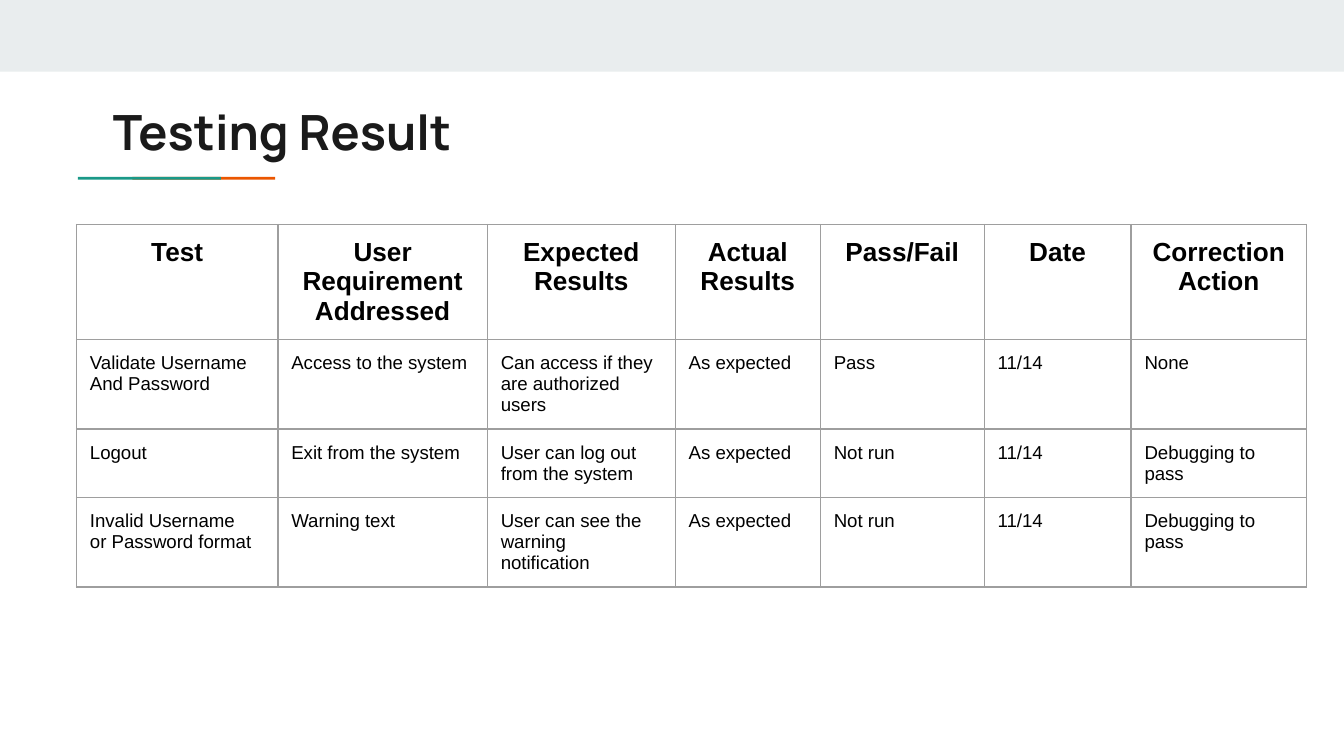
from lxml import etree
from pptx import Presentation
from pptx.dml.color import RGBColor
from pptx.enum.shapes import MSO_SHAPE
from pptx.enum.text import MSO_ANCHOR, MSO_AUTO_SIZE, PP_ALIGN
from pptx.oxml.ns import qn
from pptx.util import Pt

RECTANGLE = MSO_SHAPE.RECTANGLE
TOP = MSO_ANCHOR.TOP
NO_AUTOFIT = MSO_AUTO_SIZE.NONE
LEFT, CENTER = PP_ALIGN.LEFT, PP_ALIGN.CENTER

BAND = RGBColor(0xE9, 0xED, 0xEE)
TEAL = RGBColor(0x1A, 0x99, 0x88)
ORANGE = RGBColor(0xEB, 0x56, 0x00)
INK = RGBColor(0x1A, 0x1A, 0x1A)
BLACK = RGBColor(0, 0, 0)
GRID = RGBColor(0x9E, 0x9E, 0x9E)

TITLE_ONLY = 5
COLUMN_WIDTHS = [107.9, 112.2, 100.7, 77.7, 87.8, 78.7, 94]
ROW_HEIGHTS = [61.5, 48, 36.5, 47.8]
# "\n" starts a new paragraph, "\v" breaks the line within one
RESULTS = [
    ["Test", "User Requirement\nAddressed", "Expected Results",
     "Actual\nResults", "Pass/Fail", "Date", "Correction Action"],
    ["Validate Username\vAnd Password", "Access to the system",
     "Can access if they are authorized users",
     "As expected", "Pass", "11/14", "None"],
    ["Logout", "Exit from the system", "User can log out from the system",
     "As expected", "Not run", "11/14", "Debugging to pass"],
    ["Invalid Username\nor Password format", "Warning text",
     "User can see the warning\vnotification",
     "As expected", "Not run", "11/14", "Debugging to pass"],
]


class SlideBuilder:
    title_font = "Manrope"
    body_font = "Arial"
    inset = Pt(7.2)
    border_width = Pt(0.75)

    def __init__(self, slide):
        self.slide = slide

    def format_text(self, frame, font, size, color, bold, align=LEFT):
        for para in frame.paragraphs:
            para.alignment = align
            for span in para.runs:
                span.font.name = font
                span.font.size = Pt(size)
                span.font.bold = bold
                span.font.color.rgb = color

    def set_insets(self, target):
        target.margin_left = target.margin_right = self.inset
        target.margin_top = target.margin_bottom = self.inset
        target.vertical_anchor = TOP

    def bar(self, left, top, width, height, color):
        box = self.slide.shapes.add_shape(
            RECTANGLE, Pt(left), Pt(top), Pt(width), Pt(height))
        box.shadow.inherit = False
        box.fill.solid()
        box.fill.fore_color.rgb = color
        box.line.fill.background()

    def title(self, text, left, top, width, height):
        box = self.slide.shapes.title
        box.left, box.top = Pt(left), Pt(top)
        box.width, box.height = Pt(width), Pt(height)
        frame = box.text_frame
        frame.text = text
        frame.word_wrap = True
        frame.auto_size = NO_AUTOFIT
        self.set_insets(frame)
        self.format_text(frame, self.title_font, 26, INK, True)

    def cell_borders(self, cell):
        properties = cell._tc.get_or_add_tcPr()
        for side in ("a:lnL", "a:lnR", "a:lnT", "a:lnB"):
            line = etree.SubElement(
                properties, qn(side), w=str(int(self.border_width)))
            fill = etree.SubElement(line, qn("a:solidFill"))
            etree.SubElement(fill, qn("a:srgbClr"), val=str(GRID))

    def table(self, rows, left, top, widths, heights):
        table = self.slide.shapes.add_table(
            len(rows), len(widths), Pt(left), Pt(top),
            Pt(sum(widths)), Pt(sum(heights))).table
        table.horz_banding = False
        for column, width in zip(table.columns, widths):
            column.width = Pt(width)
        for index, (row, height) in enumerate(zip(rows, heights)):
            table.rows[index].height = Pt(height)
            header = index == 0
            for cell, text in zip(table.rows[index].cells, row):
                cell.text_frame.text = text
                self.set_insets(cell)
                self.cell_borders(cell)
                cell.fill.background()
                self.format_text(cell.text_frame, self.body_font,
                                 14 if header else 10, BLACK, header,
                                 CENTER if header else LEFT)


def main():
    deck = Presentation()
    deck.slide_width, deck.slide_height = Pt(720), Pt(405)
    builder = SlideBuilder(
        deck.slides.add_slide(deck.slide_layouts[TITLE_ONLY]))

    # Top band
    builder.bar(0, 0, 720, 38.4, BAND)

    # Title with its underline: the teal bar overlaps the orange one
    builder.title("Testing Result", 53.3, 47.5, 230.4, 42.5)
    for left, color in ((70.9, ORANGE), (41.8, TEAL)):
        builder.bar(left, 94.8, 76.6, 1.5, color)

    # Test results
    builder.table(RESULTS, 41, 120.2, COLUMN_WIDTHS, ROW_HEIGHTS)

    deck.save("out.pptx")


if __name__ == "__main__":
    main()
